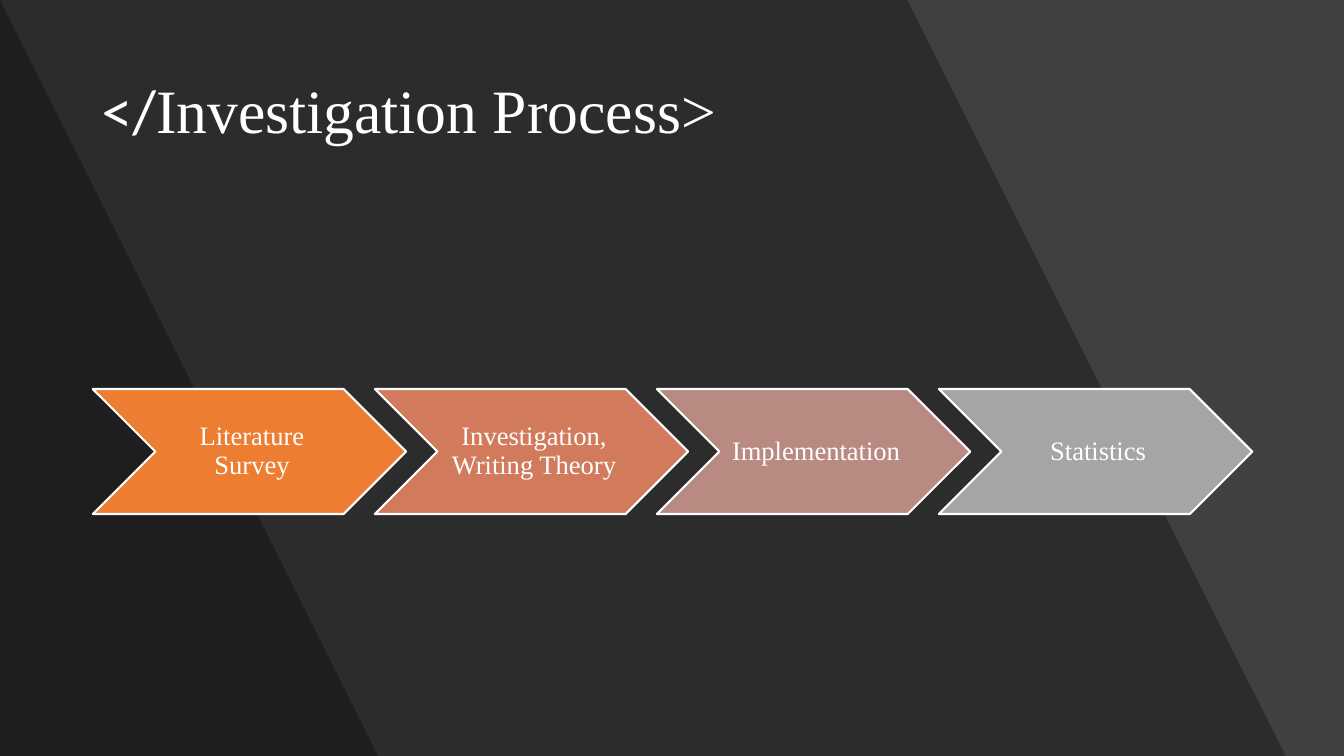
from lxml import etree
from pptx import Presentation
from pptx import util as u
from pptx.dml.color import RGBColor
from pptx.enum import shapes, text
from pptx.oxml.ns import qn

WIDE, HIGH = 13.33, 7.5
SERIF = "Times New Roman"
HUES = {"back": "404040", "shade": "000000", "white": "FFFFFF"}
STEPS = {
    "Literature Survey": "ED7D31",
    "Investigation, Writing Theory": "D17B5C",
    "Implementation": "B98A82",
    "Statistics": "A5A5A5",
}


def paint(fill, hue):
    fill.solid()
    fill.fore_color.rgb = RGBColor.from_string(hue)


def write(slide, box, runs, size, align=text.PP_ALIGN.LEFT,
          pads=(0.1, 0.05, 0.1, 0.05)):
    """Add a text box; runs holds (words, font) pairs."""
    frame = slide.shapes.add_textbox(*map(u.Inches, box)).text_frame
    frame.word_wrap = True
    frame.vertical_anchor = text.MSO_ANCHOR.MIDDLE
    (frame.margin_left, frame.margin_top,
     frame.margin_right, frame.margin_bottom) = map(u.Inches, pads)
    para = frame.paragraphs[0]
    para.alignment = align
    para.line_spacing = 0.9
    for words, font in runs:
        run = para.add_run()
        run.text = words
        run.font.name = font
        run.font.size = u.Pt(size)
        run.font.color.rgb = RGBColor.from_string(HUES["white"])


def shade(slide, top, base):
    """Darken the slide left of a slant from top to base, its x at each edge."""
    pen = slide.shapes.build_freeform(0, 0, scale=u.Inches(1))
    pen.add_line_segments([(top, 0), (base, HIGH), (0, HIGH)], close=True)
    band = pen.convert_to_shape()
    band.shadow.inherit = False
    band.line.fill.background()
    paint(band.fill, HUES["shade"])
    tint = band.fill._xPr.find(".//" + qn("a:srgbClr"))
    etree.SubElement(tint, qn("a:alpha"), val="30000")


def chain(slide, box, steps):
    """Fill the box with chevrons, each starting at 90% of the one before."""
    left, top, wide, high = box
    size = wide / (1 + 0.9 * (len(steps) - 1))
    for i, (words, hue) in enumerate(steps.items()):
        x = left + i * 0.9 * size
        step = slide.shapes.add_shape(
            shapes.MSO_SHAPE.CHEVRON,
            *map(u.Inches, (x, top, size, high)))
        step.shadow.inherit = False
        paint(step.fill, hue)
        paint(step.line.fill, HUES["white"])
        step.line.width = u.Pt(1.5)
        write(slide, (x + high / 2, top, size - high, high),
              [(words, SERIF)], 19, align=text.PP_ALIGN.CENTER,
              pads=(0.08, 0.03, 0.03, 0.03))


def main():
    deck = Presentation()
    deck.slide_width, deck.slide_height = u.Inches(WIDE), u.Inches(HIGH)
    slide = deck.slides.add_slide(deck.slide_layouts[6])
    paint(slide.background.fill, HUES["back"])
    shade(slide, 9.42, 12.89)
    shade(slide, 0.44, 3.92)
    write(slide, (0.91, 0.4, 11.51, 1.45),
          [("</", "Calibri"), ("Investigation Process>", SERIF)], 44)
    chain(slide, (0.92, 3.86, 11.5, 1.24), STEPS)
    deck.save("out.pptx")


if __name__ == "__main__":
    main()
